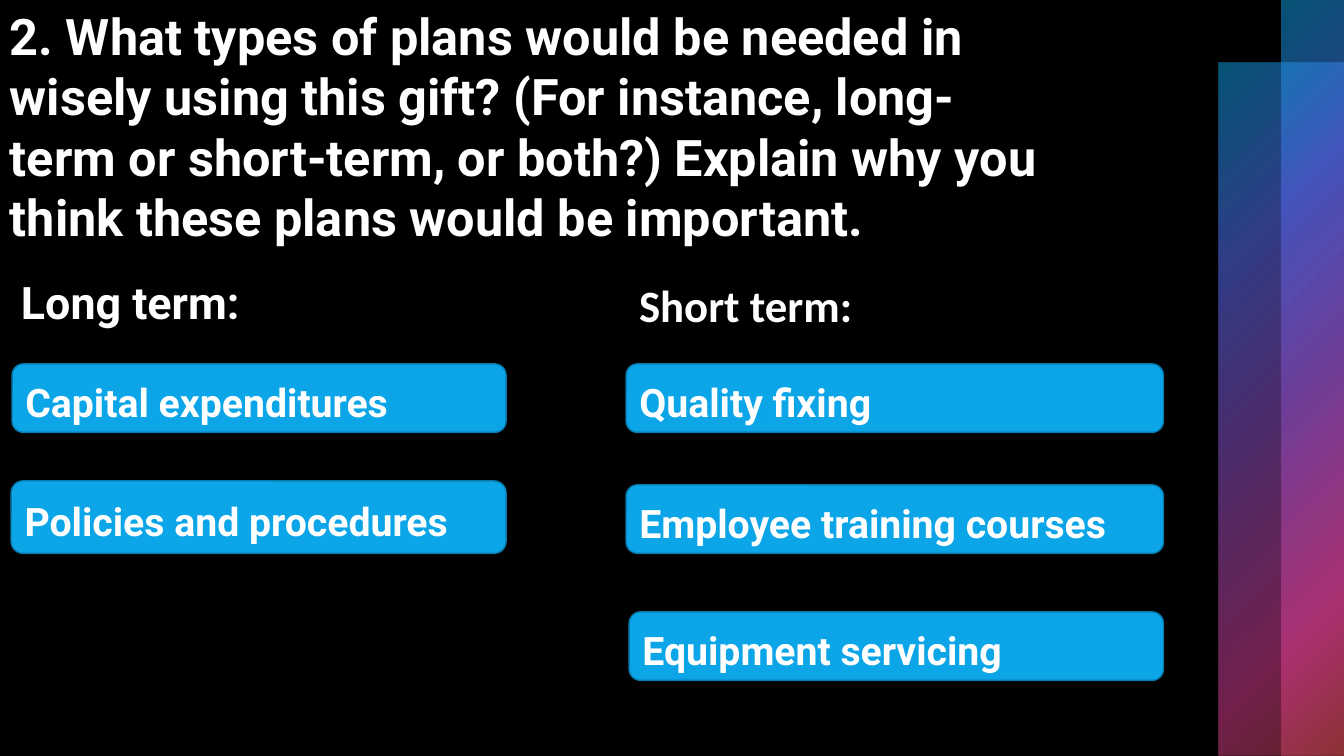
from lxml import etree
from pptx import Presentation
from pptx.dml.color import RGBColor as RGB
from pptx.enum.shapes import MSO_SHAPE as SHAPE
from pptx.enum.text import MSO_ANCHOR as ANCHOR, PP_ALIGN as ALIGN
from pptx.oxml import parse_xml
from pptx.oxml.ns import nsdecls
from pptx.util import Pt

PX = 9144  # 100 px to the inch
COLORS = {"black": "000000", "white": "FFFFFF", "blue": "0BA5E8", "edge": "087AAC"}
# Position, colour and opacity, all in percent
STOPS = [(0, "0BA5E8", 50), (25, "5066E1", 60), (50, "894EC0", 55),
         (81, "E54196", 50), (99, "BE4449", 50)]

prs = Presentation()
prs.slide_width, prs.slide_height = 1333 * PX, 750 * PX
s = prs.slides.add_slide(prs.slide_layouts[6])
s.background.fill.solid()
s.background.fill.fore_color.rgb = RGB.from_string(COLORS["black"])


def put_text(sp, text, size=28, font="Roboto", anchor=ANCHOR.TOP, spacing=1.15, inset=5):
    tf = sp.text_frame
    tf.word_wrap = True
    tf.vertical_anchor = anchor
    tf.margin_left = tf.margin_right = 10 * PX
    tf.margin_top = tf.margin_bottom = inset * PX
    p = tf.paragraphs[0]
    p.alignment = ALIGN.LEFT
    p.line_spacing = spacing
    r = p.add_run()
    r.text = text
    r.font.size, r.font.name, r.font.bold = Pt(size), font, True
    r.font.color.rgb = RGB.from_string(COLORS["white"])


# Gradient bars on the right edge
stops = "".join(
    f'<a:gs pos="{pos * 1000}"><a:srgbClr val="{color}">'
    f'<a:alpha val="{alpha * 1000}"/></a:srgbClr></a:gs>'
    for pos, color, alpha in STOPS)
gradient = (f'<a:gradFill {nsdecls("a")} rotWithShape="1"><a:gsLst>{stops}</a:gsLst>'
            '<a:path path="circle"><a:fillToRect r="100000" b="100000"/></a:path></a:gradFill>')
for x, y, w, h in [(1209, 62, 124, 688), (1271, 0, 62, 750)]:
    sp = s.shapes.add_shape(SHAPE.RECTANGLE, x * PX, y * PX, w * PX, h * PX)
    sp.shadow.inherit = False
    sp.line.fill.background()
    sp.fill.gradient()
    old = sp._element.spPr.find("{*}gradFill")
    old.getparent().replace(old, parse_xml(gradient))

# Question and column headings
question = ("2. What types of plans would be needed in wisely using this gift? "
            "(For instance, long-term or short-term, or both?) "
            "Explain why you think these plans would be important.")
for text, x, y, w, h, style in [
    (question, 0, 0, 1040, 377, dict(size=36, spacing=1.0)),
    ("Long term:", 11, 258, 453, 73, dict(size=32, anchor=ANCHOR.BOTTOM)),
    ("Short term:", 624, 258, 363, 161, dict(size=32, font="Calibri", inset=10)),
]:
    sp = s.shapes.add_textbox(x * PX, y * PX, w * PX, h * PX)
    put_text(sp, text, **style)

# Plans under each heading
for text, x, y, w, h in [
    ("Capital expenditures", 12, 361, 490, 68),
    ("Policies and procedures", 11, 477, 491, 72),
    ("Quality fixing", 621, 361, 533, 68),
    ("Employee training courses", 621, 481, 533, 68),
    ("Equipment servicing", 624, 607, 530, 68),
]:
    sp = s.shapes.add_shape(SHAPE.ROUNDED_RECTANGLE, x * PX, y * PX, w * PX, h * PX)
    sp.shadow.inherit = False
    sp.fill.solid()
    sp.fill.fore_color.rgb = RGB.from_string(COLORS["blue"])
    sp.line.color.rgb = RGB.from_string(COLORS["edge"])
    sp.line.width = Pt(1)
    put_text(sp, text, anchor=ANCHOR.MIDDLE)

prs.save("out.pptx")
